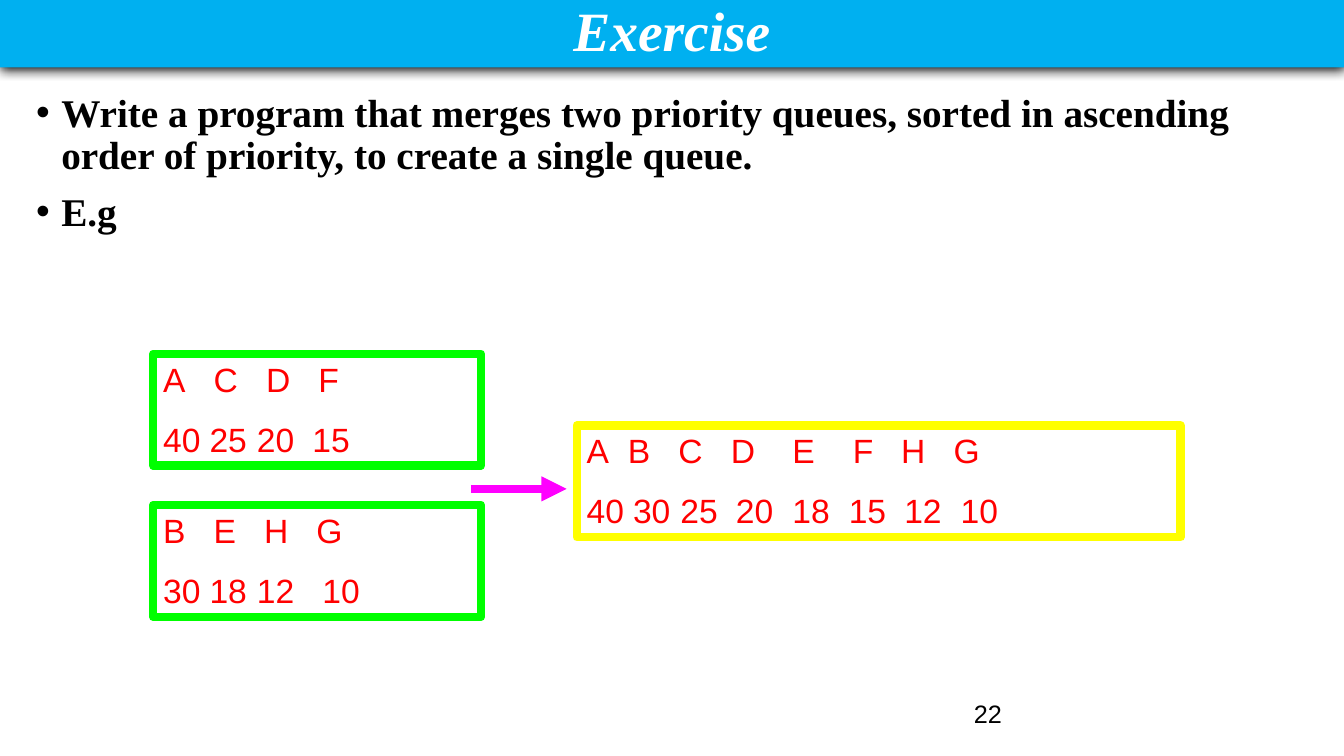
"""Build the exercise slide on merging two priority queues."""
from lxml import etree
from pptx import Presentation
from pptx.dml.color import RGBColor
from pptx.enum.shapes import MSO_CONNECTOR, MSO_SHAPE
from pptx.enum.text import MSO_ANCHOR, PP_ALIGN
from pptx.oxml import parse_xml
from pptx.oxml.ns import nsdecls, qn
from pptx.util import Inches, Pt

RECTANGLE, STRAIGHT = MSO_SHAPE.RECTANGLE, MSO_CONNECTOR.STRAIGHT
TOP, MIDDLE = MSO_ANCHOR.TOP, MSO_ANCHOR.MIDDLE
LEFT, CENTER = PP_ALIGN.LEFT, PP_ALIGN.CENTER

COLORS = {"banner": "00B0F0", "title": "FFFFFF", "body": "000000", "source": "00FF00",
          "merged": "FFFF00", "queue": "FF0000", "arrow": "FF00FF"}
TITLE = "Exercise"
TASKS = [
    "Write a program that merges two priority queues, sorted in ascending "
    "order of priority, to create a single queue.",
    "E.g",
]
PAGE_NUMBER = "22"
QUEUES = [
    {"at": (1.52, 3.51), "width": 3.25, "border": "source", "rows": [
        ("A C D F", (0.5, 1.02, 1.54)),
        ("40 25 20 15", (0.46, 0.93, 1.48))]},
    {"at": (1.52, 5.01), "width": 3.25, "border": "source", "rows": [
        ("B E H G", (0.5, 1.0, 1.52)),
        ("30 18 12 10", (0.46, 0.93, 1.58))]},
    {"at": (5.72, 4.22), "width": 5.99, "border": "merged", "rows": [
        ("A B C D E F H G", (0.41, 0.91, 1.43, 2.04, 2.64, 3.12, 3.64)),
        ("40 30 25 20 18 15 12 10", (0.46, 0.93, 1.48, 2.04, 2.6, 3.15, 3.71))]},
]
SLIDE_WIDTH, SLIDE_HEIGHT = 13.33, 7.5
QUEUE_HEIGHT, BORDER = 1.11, 6
ARROW_START, ARROW_END, ARROW_Y = 4.67, 5.62, 4.85
FONTS = {
    "title": {"name": "Times New Roman", "size": Pt(39.6), "bold": True, "italic": True},
    "body": {"name": "Times New Roman", "size": Pt(28), "bold": True},
    "queue": {"name": "Arial", "size": Pt(24)},
    "page": {"name": "Arial", "size": Pt(18)},
}


def color(key):
    return RGBColor.from_string(COLORS[key])


def write(frame, lines, style, ink, align=LEFT, anchor=TOP, spacing=1.0, gap=0, decorate=None):
    frame.word_wrap = True
    frame.vertical_anchor = anchor
    for index, line in enumerate(lines):
        paragraph = frame.paragraphs[0] if index == 0 else frame.add_paragraph()
        paragraph.alignment = align
        paragraph.line_spacing = spacing
        paragraph.space_before = Pt(gap if index else 0)
        if decorate:
            decorate(paragraph, index)
        run = paragraph.add_run()
        run.text = line
        for attribute, value in FONTS[style].items():
            setattr(run.font, attribute, value)
        run.font.color.rgb = color(ink)


def add_bullet(paragraph, index):
    properties = paragraph._p.get_or_add_pPr()
    properties.set("marL", str(Inches(0.25)))
    properties.set("indent", str(-Inches(0.25)))
    etree.SubElement(properties, qn("a:buFont")).set("typeface", "Arial")
    etree.SubElement(properties, qn("a:buChar")).set("char", "•")


def add_box(slide, left, top, width, height):
    box = slide.shapes.add_shape(RECTANGLE, *map(Inches, (left, top, width, height)))
    box.shadow.inherit = False
    return box


def add_banner(slide):
    banner = add_box(slide, 0, 0, SLIDE_WIDTH, 0.67)
    banner.fill.solid()
    banner.fill.fore_color.rgb = color("banner")
    banner.line.fill.background()
    effects = banner._element.spPr.find(qn("a:effectLst"))
    effects.append(parse_xml(
        f'<a:outerShdw {nsdecls("a")} blurRad="{Pt(8.5)}" dist="{Pt(1)}" dir="5400000" '
        'algn="t" rotWithShape="0"><a:srgbClr val="000000"/></a:outerShdw>'))
    write(banner.text_frame, [TITLE], "title", "title", CENTER, MIDDLE, 0.9)


def add_text(slide, at, lines, style, **layout):
    box = slide.shapes.add_textbox(*map(Inches, at))
    write(box.text_frame, lines, style, "body", **layout)


def add_queue(slide, queue):
    box = add_box(slide, *queue["at"], queue["width"], QUEUE_HEIGHT)
    box.fill.background()
    box.line.color.rgb = color(queue["border"])
    box.line.width = Pt(BORDER)

    def add_tabs(paragraph, index):
        tabs = etree.SubElement(paragraph._p.get_or_add_pPr(), qn("a:tabLst"))
        for stop in queue["rows"][index][1]:
            tab = etree.SubElement(tabs, qn("a:tab"))
            tab.set("pos", str(Inches(stop)))
            tab.set("algn", "l")

    lines = ["\t".join(items.split()) for items, _ in queue["rows"]]
    write(box.text_frame, lines, "queue", "queue", gap=13.8, decorate=add_tabs)


def add_arrow(slide):
    ends = (ARROW_START, ARROW_Y, ARROW_END, ARROW_Y)
    arrow = slide.shapes.add_connector(STRAIGHT, *map(Inches, ends))
    arrow.line.color.rgb = color("arrow")
    arrow.line.width = Pt(BORDER)
    etree.SubElement(arrow.line._get_or_add_ln(), qn("a:tailEnd")).set("type", "triangle")
    etree.SubElement(arrow._element.spPr, qn("a:effectLst"))


def main():
    deck = Presentation()
    deck.slide_width, deck.slide_height = Inches(SLIDE_WIDTH), Inches(SLIDE_HEIGHT)
    slide = deck.slides.add_slide(deck.slide_layouts[6])
    add_text(slide, (9.56, 6.83, 3.11, 0.5), [PAGE_NUMBER], "page", anchor=MIDDLE)
    add_banner(slide)
    add_text(slide, (0.26, 0.88, 12.84, 6.03), TASKS, "body",
             spacing=0.9, gap=10, decorate=add_bullet)
    for queue in QUEUES:
        add_queue(slide, queue)
    add_arrow(slide)
    deck.save("out.pptx")


if __name__ == "__main__":
    main()
